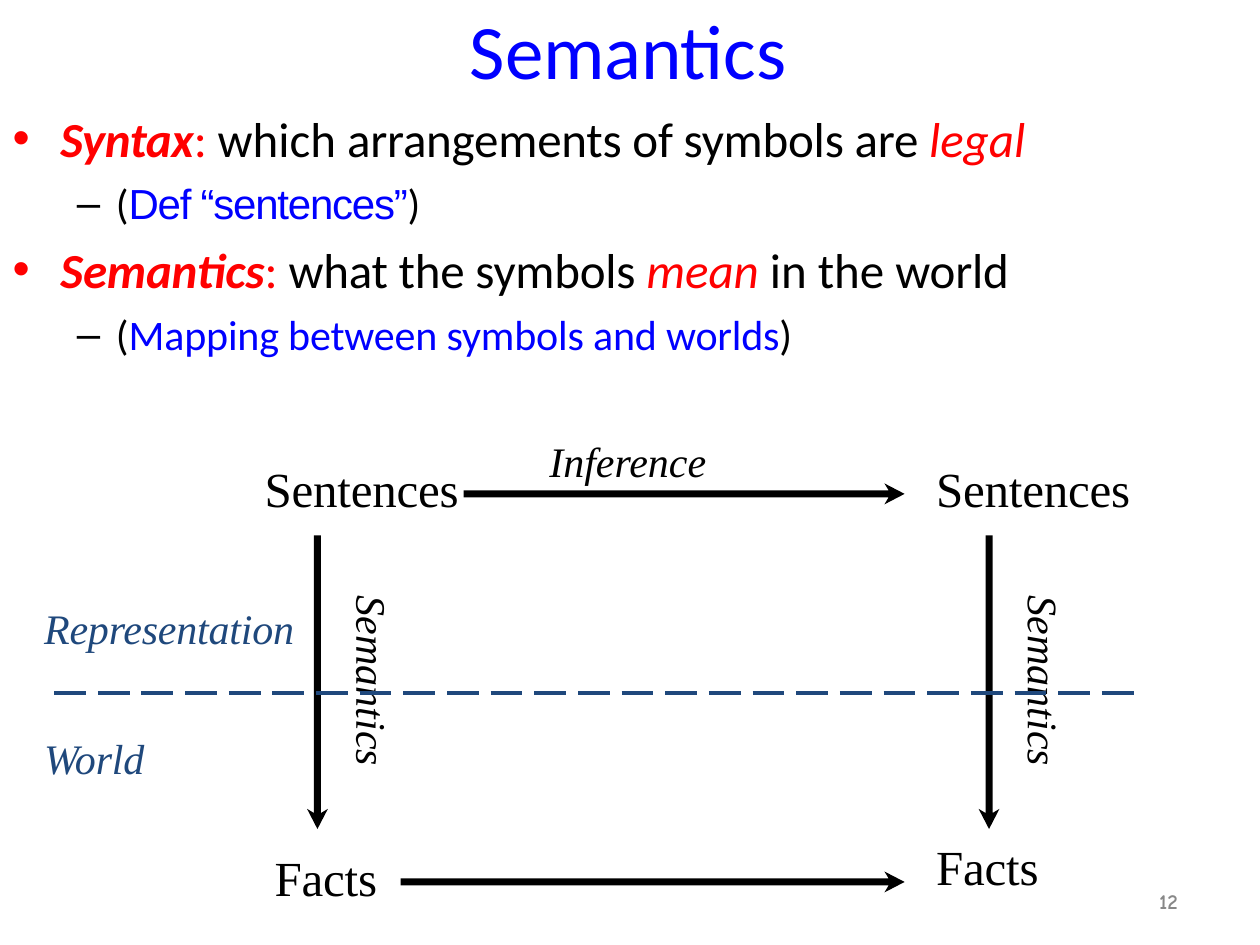
from lxml import etree
from pptx import Presentation
from pptx import util as u
from pptx.dml.color import RGBColor
from pptx.enum import dml, shapes, text
from pptx.oxml.ns import qn

BLACK = RGBColor(0x00, 0x00, 0x00)
BLUE = RGBColor(0x00, 0x00, 0xFF)
RED = RGBColor(0xFF, 0x00, 0x00)
NAVY = RGBColor(0x1F, 0x48, 0x7C)
GRAY = RGBColor(0x88, 0x88, 0x88)

SANS, SERIF, PLAIN, COMIC = "Calibri", "Times New Roman", "Arial", "Comic Neue"
COLS, ROWS = 100, 75
LEFT_COL, RIGHT_COL = 25.2, 78.5
TOP_ROW, BOTTOM_ROW = 39.2, 70


class Board:
    def __init__(self, prs):
        self.s = prs.slides.add_slide(prs.slide_layouts[5])
        self.col = prs.slide_width / COLS
        self.row = prs.slide_height / ROWS

    def spot(self, x, y):
        return round(x * self.col), round(y * self.row)

    def frame(self, sp, left=0.01, top=0.02):
        tf = sp.text_frame
        tf.word_wrap = True
        tf.auto_size = text.MSO_AUTO_SIZE.NONE
        tf.vertical_anchor = text.MSO_ANCHOR.TOP
        tf.margin_right = tf.margin_bottom = 0
        tf.margin_left, tf.margin_top = u.Inches(left), u.Inches(top)
        return tf

    def style(self, r, font, size, color, bold=False, italic=False, spacing=0):
        f = r.font
        f.name, f.size, f.bold, f.italic = font, u.Pt(size), bold, italic
        f.color.rgb = color
        if spacing:
            r._r.get_or_add_rPr().set("spc", str(round(spacing * 100)))

    def title(self, words, x, y, w, h):
        sp = self.s.shapes.title
        sp.left, sp.top = self.spot(x, y)
        sp.width, sp.height = self.spot(w, h)
        tf = self.frame(sp)
        tf.text = words
        p = tf.paragraphs[0]
        p.alignment = text.PP_ALIGN.LEFT
        self.style(p.runs[0], SANS, 44, BLUE, spacing=-0.1)

    def box(self, x, y, w, h, **inset):
        sp = self.s.shapes.add_textbox(*self.spot(x, y), *self.spot(w, h))
        return self.frame(sp, **inset)

    def label(self, lines, x, y, w, h, size=28, color=BLACK, font=SERIF,
              gap=0, vertical=False, **look):
        tf = self.box(x, y, w, h)
        tf.text = lines
        if vertical:
            tf._txBody.bodyPr.set("vert", "vert")
            tf.margin_left, tf.margin_top = 0, u.Inches(0.02)
        for i, p in enumerate(tf.paragraphs):
            if vertical:
                p.line_spacing = u.Pt(27.2)
            if i:
                p.space_before = u.Pt(gap)
            self.style(p.runs[0], font, size, color, **look)

    def bullets(self, items, x, y, w, h):
        tf = self.box(x, y, w, h, left=0, top=0.11)
        for i, (level, parts) in enumerate(items):
            p = tf.add_paragraph() if i else tf.paragraphs[0]
            p.level = level
            if i:
                p.space_before = u.Pt(6.5 - level / 2)
            margin, hang, mark, size = ((0.39, 0.38, "•", 28),
                                        (0.83, 0.31, "–", 24))[level]
            pPr = p._p.get_or_add_pPr()
            pPr.set("marL", str(u.Inches(margin)))
            pPr.set("indent", str(-u.Inches(hang)))
            etree.SubElement(pPr, qn("a:buFont")).set("typeface", PLAIN)
            etree.SubElement(pPr, qn("a:buChar")).set("char", mark)
            for words, color, look in parts:
                r = p.add_run()
                r.text = words
                self.style(r, **{"font": SANS, "size": size, "color": color, **look})

    def arrows(self, *runs):
        builder = None
        for x, y, length, down in runs:
            shaft, neck = length - 1.27, length - 1.6
            outline = [(0, -0.28), (shaft, -0.28), (neck, -0.83), (length, 0),
                       (neck, 0.83), (shaft, 0.28), (0, 0.28)]
            points = [self.spot(x - b, y + a) if down else self.spot(x + a, y + b)
                      for a, b in outline]
            if builder:
                builder.move_to(*points[0])
            else:
                builder = self.s.shapes.build_freeform(*points[0])
            builder.add_line_segments(points[1:], close=True)
        sp = builder.convert_to_shape()
        sp.shadow.inherit = False
        sp.fill.solid()
        sp.fill.fore_color.rgb = BLACK
        sp.line.fill.background()

    def divider(self, x1, x2, y):
        c = self.s.shapes.add_connector(shapes.MSO_CONNECTOR.STRAIGHT,
                                        *self.spot(x1, y), *self.spot(x2, y))
        c.line.color.rgb = NAVY
        c.line.width = u.Pt(2.28)
        c.line.dash_style = dml.MSO_LINE.LONG_DASH
        etree.SubElement(c._element.spPr, qn("a:effectLst"))


def main():
    prs = Presentation()
    prs.slide_width, prs.slide_height = u.Inches(10), u.Inches(7.5)
    b = Board(prs)
    b.title("Semantics", 37.2, 0, 25.5, 7.6)

    term = {"bold": True, "italic": True, "spacing": -0.2}
    stress = {"italic": True}
    close = {"spacing": -0.1}
    tight = {"spacing": -0.9}
    b.bullets([
        (0, [("Syntax", RED, term), (": ", RED, term | {"bold": False, "italic": False}),
             ("which ", BLACK, {}),
             ("arrangements of symbols are ", BLACK, close),
             ("legal", RED, stress)]),
        (1, [("(", BLACK, tight),
             ("Def ", BLUE, {"font": PLAIN, "spacing": -0.7}),
             ("“sentences”", BLUE, {"font": PLAIN, "spacing": -0.7}),
             (")", BLACK, {"spacing": -0.7})]),
        (0, [("Semantics", RED, term | close), (": ", RED, close),
             ("what the symbols ", BLACK, close),
             ("mean ", RED, stress), ("in the ", BLACK, {}),
             ("world", BLACK, close)]),
        (1, [("(", BLACK, close),
             ("Mapping between symbols and worlds", BLUE, close),
             (")", BLACK, close)]),
    ], 0.9, 7.5, 81.3, 21.2)

    for x, facts_x, facts_y, axis in ((20.9, 21.7, 67.1, LEFT_COL),
                                      (74.2, 74.2, 66.2, RIGHT_COL)):
        b.label("Sentences", x, 36.2, 15.8, 5, spacing=-0.1)
        b.label("Facts", facts_x, facts_y, 8.5, 5, spacing=-0.1)
        b.label("Semantics", axis + 2.2, 47.1, 4, 13.8, size=24,
                italic=True, vertical=True)

    for start, y in ((36.8, TOP_ROW), (31.8, BOTTOM_ROW)):
        b.arrows((start, y, 71.8 - start, False))
    b.arrows(*((axis, 42.5, 23.3, True) for axis in (LEFT_COL, RIGHT_COL)))
    b.label("Inference", 43.5, 34.4, 12.9, 4.3, size=24, italic=True)

    b.divider(4.3, 90.2, 55)
    b.label("Representation\nWorld", 3.4, 47.6, 20.3, 14.3, size=24,
            color=NAVY, italic=True, gap=45.5, spacing=-0.1)
    b.label("12", 91.9, 70.3, 2.9, 2.6, size=12, color=GRAY, font=COMIC, bold=True)
    prs.save("out.pptx")


if __name__ == "__main__":
    main()
